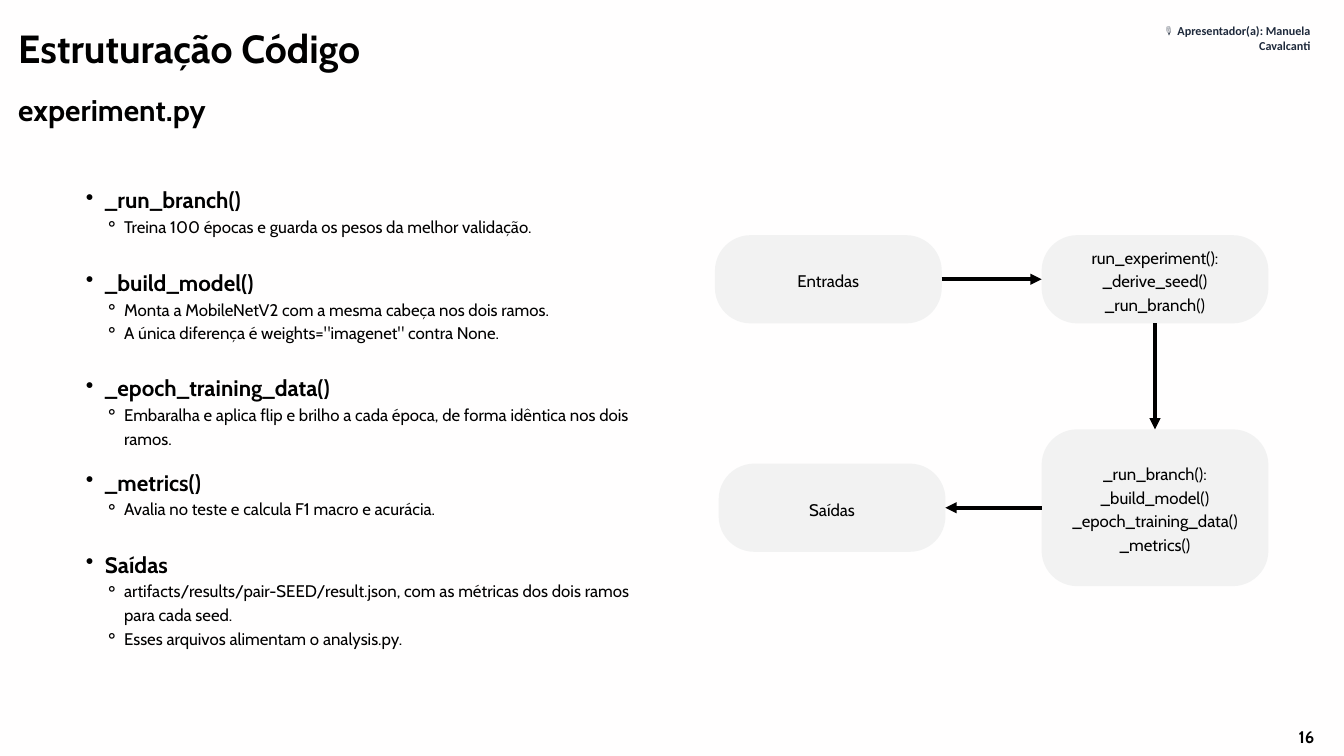
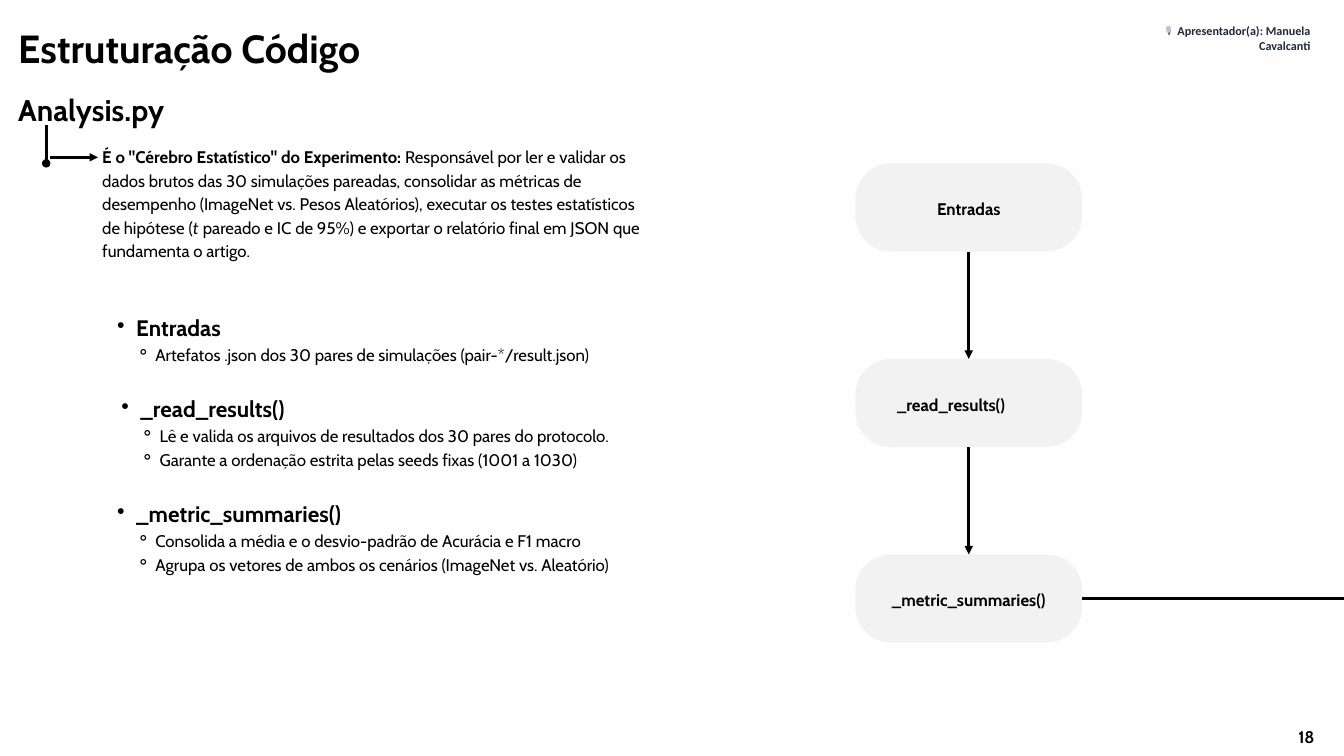
from lxml import etree
from pptx import Presentation
from pptx.dml.color import RGBColor
from pptx.enum.shapes import MSO_CONNECTOR, MSO_SHAPE
from pptx.enum.text import MSO_ANCHOR, MSO_AUTO_SIZE, PP_ALIGN
from pptx.oxml.ns import qn
from pptx.util import Pt

COLORS = {"page": "FFFEFE", "ink": "000000", "box": "F2F2F2", "presenter": "1E293B"}
FONT = "Cabin"
LEADING = 1.4  # line height as a multiple of the text size
BOX_W, BOX_H, RADIUS = 243, 94.5, 38.2
INDENT = 20.5
BOTTOM, LEFT, TOP, RIGHT = 2, 1, 0, 3  # connection sites


def rgb(name):
    return RGBColor.from_string(COLORS[name])


class Deck:
    def __init__(self):
        self.prs = Presentation()
        self.prs.slide_width, self.prs.slide_height = Pt(1440), Pt(810)
        fill = self.prs.slide_master.background.fill
        fill.solid()
        fill.fore_color.rgb = rgb("page")

    def new_slide(self, subtitle, number):
        self.s = self.prs.slides.add_slide(self.prs.slide_layouts[6])
        self.text(19.5, 18, 810, 56, ["Estruturação Código"], size=42, bold=True)
        self.text(19.5, 91.5, 234, 42.5, [subtitle], size=32, bold=True)
        self.text(1359.5, 774.5, 80.5, 24, [number], bold=True, align=PP_ALIGN.CENTER)
        self.presenter("🎙️ Apresentador(a): Manuela Cavalcanti")

    def style(self, p, size=18, bold=False, color="ink", font=FONT):
        for r in p.runs:
            r.font.size, r.font.bold, r.font.name = Pt(size), bold, font
            r.font.color.rgb = rgb(color)

    def frame(self, x, y, w, h, inset=True):
        tf = self.s.shapes.add_textbox(Pt(x), Pt(y), Pt(w), Pt(h)).text_frame
        tf.word_wrap = True
        tf.auto_size = MSO_AUTO_SIZE.SHAPE_TO_FIT_TEXT
        if not inset:
            self.no_insets(tf)
        return tf

    def no_insets(self, tf):
        tf.margin_left = tf.margin_top = tf.margin_right = tf.margin_bottom = 0

    def fill_text(self, tf, lines, size=18, bold=False, align=None):
        tf.text = "\n".join(lines)
        for p in tf.paragraphs:
            p.alignment = align
            p.line_spacing = Pt(size * LEADING)
            self.style(p, size, bold)

    def text(self, x, y, w, h, lines, **look):
        self.fill_text(self.frame(x, y, w, h, inset=False), lines, **look)

    def presenter(self, label):
        p = self.frame(1181, 21.5, 230, 32).paragraphs[0]
        p.text = label
        p.alignment = PP_ALIGN.RIGHT
        self.style(p, 13, True, "presenter", "Calibri")

    def rich_text(self, x, y, w, h, parts):
        p = self.frame(x, y, w, h, inset=False).paragraphs[0]
        p.line_spacing = Pt(18 * LEADING)
        for text, _ in parts:
            p.add_run().text = text
        self.style(p)
        for r, (_, look) in zip(p.runs, parts):
            for name, value in look.items():
                setattr(r.font, name, value)

    def topic(self, x, y, h, heading, details):
        tf = self.frame(x, y, 639.5, h, inset=False)
        tf.text = "\n".join([heading, *details])
        for i, p in enumerate(tf.paragraphs):
            level, mark, size = (2, "⚬", 18) if i else (1, "•", 24)
            p.level = level
            p.line_spacing = Pt(size * LEADING)
            pPr = p._p.get_or_add_pPr()
            pPr.set("marL", str(Pt(INDENT * (level + 1))))
            pPr.set("indent", str(Pt(-INDENT)))
            etree.SubElement(pPr, qn("a:buChar"), char=mark)
            self.style(p, size, bold=not i)

    def box(self, x, y, lines, h=BOX_H, bold=False, right_inset=0):
        sp = self.s.shapes.add_shape(
            MSO_SHAPE.ROUNDED_RECTANGLE, Pt(x), Pt(y), Pt(BOX_W), Pt(h))
        sp.adjustments[0] = RADIUS / min(BOX_W, h)
        sp.shadow.inherit = False
        sp.fill.solid()
        sp.fill.fore_color.rgb = rgb("box")
        sp.line.fill.background()
        tf = sp.text_frame
        tf.word_wrap = True
        tf.vertical_anchor = MSO_ANCHOR.MIDDLE
        self.no_insets(tf)
        tf.margin_right = Pt(right_inset)
        self.fill_text(tf, lines, bold=bold, align=PP_ALIGN.CENTER)
        return sp

    def line(self, x1, y1, x2, y2, width=3, end="triangle"):
        c = self.s.shapes.add_connector(
            MSO_CONNECTOR.STRAIGHT, Pt(x1), Pt(y1), Pt(x2), Pt(y2))
        c.line.width = Pt(width)
        c.line.color.rgb = rgb("ink")
        if end:
            etree.SubElement(c.line._get_or_add_ln(), qn("a:tailEnd"), type=end)
        etree.SubElement(c._element.spPr, qn("a:effectLst"))
        return c

    def join(self, start, start_site, stop, stop_site, width=3):
        c = self.line(0, 0, 0, 0, width)
        c.begin_connect(start, start_site)
        c.end_connect(stop, stop_site)


def experiment_slide(deck):
    deck.new_slide("experiment.py", "16")

    # Flow from inputs to outputs
    inputs = deck.box(766, 252, ["Entradas"])
    run = deck.box(1116, 252, ["run_experiment():", "_derive_seed()", "_run_branch()"])
    branch = deck.box(1116, 460, ["_run_branch():", "_build_model()",
                                  "_epoch_training_data()", "_metrics()"], h=168)
    outputs = deck.box(770, 496.75, ["Saídas"])
    deck.join(inputs, RIGHT, run, LEFT, width=4)
    deck.join(run, BOTTOM, branch, TOP, width=4)
    deck.join(branch, LEFT, outputs, RIGHT, width=4)

    # Functions explained
    topics = [
        (195, 57, "_run_branch()",
         ["Treina 100 épocas e guarda os pesos da melhor validação."]),
        (283.5, 81.5, "_build_model()",
         ["Monta a MobileNetV2 com a mesma cabeça nos dois ramos.",
          'A única diferença é weights="imagenet" contra None.']),
        (396.5, 81.5, "_epoch_training_data()",
         ["Embaralha e aplica flip e brilho a cada época, de forma idêntica nos dois ramos."]),
        (497.5, 57, "_metrics()",
         ["Avalia no teste e calcula F1 macro e acurácia."]),
        (585.5, 106, "Saídas",
         ["artifacts/results/pair-SEED/result.json, com as métricas dos dois ramos "
          "para cada seed.",
          "Esses arquivos alimentam o analysis.py."]),
    ]
    for y, h, heading, details in topics:
        deck.topic(71.5, y, h, heading, details)


def analysis_slide(deck):
    deck.new_slide("Analysis.py", "18")

    # Summary with its pointer
    deck.line(49.5, 134, 49.5, 175, end="oval")
    deck.line(53.5, 168.5, 105, 168.5)
    deck.rich_text(109.5, 154, 585.5, 122.5, [
        ('É o "Cérebro Estatístico" do Experimento:', {"bold": True}),
        (" Responsável por ler e validar os dados brutos das 30 simulações pareadas, "
         "consolidar as métricas de desempenho (ImageNet vs. Pesos Aleatórios), executar "
         "os testes estatísticos de hipótese (", {}),
        ("t ", {"name": "Lato", "italic": True}),
        ("pareado e IC de 95%) e exportar o relatório final em JSON que "
         "fundamenta o artigo.", {}),
    ])

    # Functions explained
    topics = [
        (105, 332, 57, "Entradas",
         ["Artefatos .json dos 30 pares de simulações (pair-*/result.json)"]),
        (109.5, 419, 81.5, "_read_results()",
         ["Lê e valida os arquivos de resultados dos 30 pares do protocolo.",
          "Garante a ordenação estrita pelas seeds fixas (1001 a 1030)"]),
        (105, 531.5, 81.5, "_metric_summaries()",
         ["Consolida a média e o desvio-padrão de Acurácia e F1 macro",
          "Agrupa os vetores de ambos os cenários (ImageNet vs. Aleatório)"]),
    ]
    for topic in topics:
        deck.topic(*topic)

    # Vertical flow, leaving at the right edge
    steps = [("Entradas", 0), ("_read_results()", 38), ("_metric_summaries()", 0)]
    boxes = [deck.box(916.5, 175 + 209.5 * i, [label], bold=True, right_inset=inset)
             for i, (label, inset) in enumerate(steps)]
    for upper, lower in zip(boxes, boxes[1:]):
        deck.join(upper, BOTTOM, lower, TOP)
    exit_y = 594 + BOX_H / 2
    deck.line(1159.5, exit_y, 1440, exit_y, end=None).begin_connect(boxes[-1], RIGHT)


def main():
    deck = Deck()
    experiment_slide(deck)
    analysis_slide(deck)
    deck.prs.save("out.pptx")


if __name__ == "__main__":
    main()
